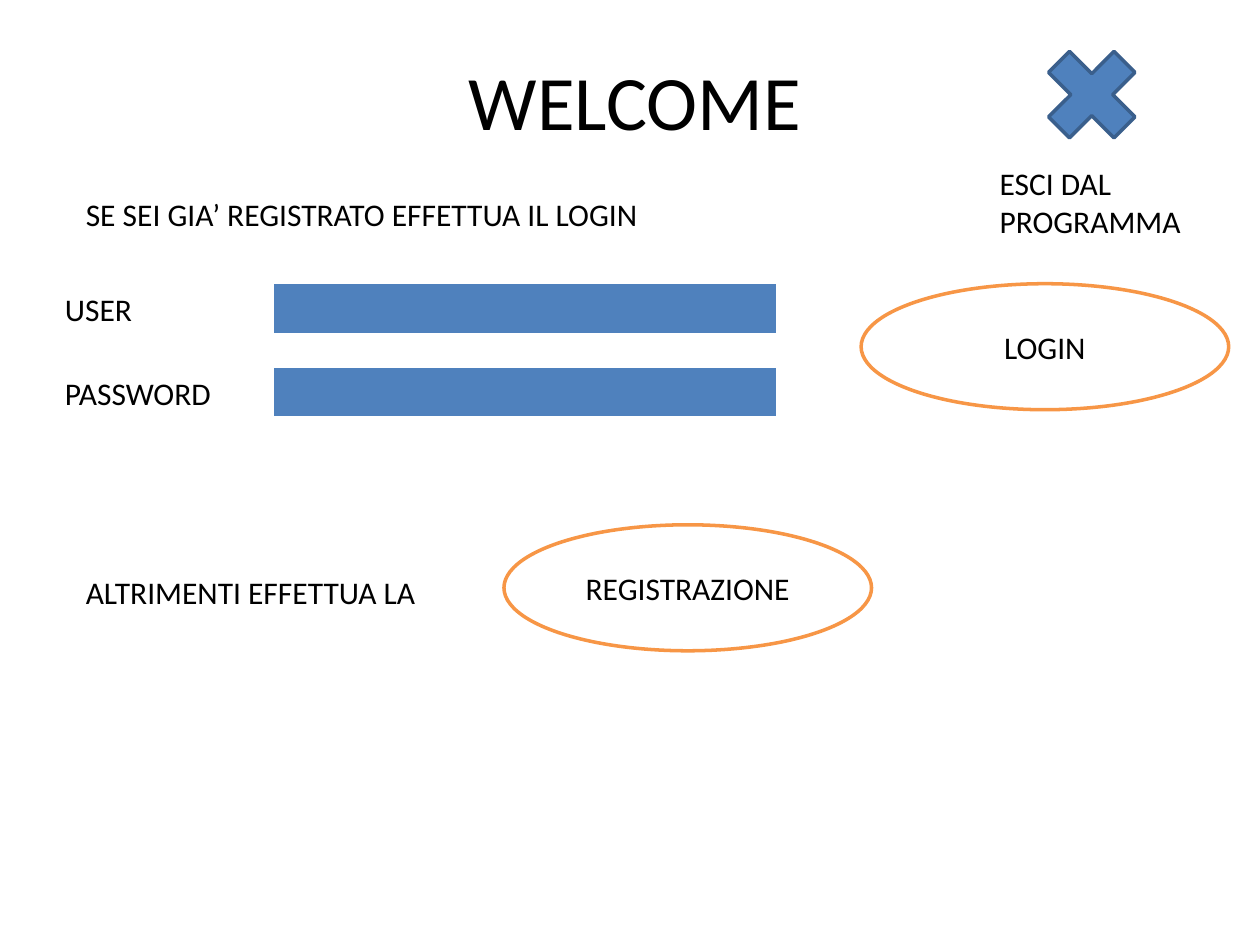
from lxml import etree
from pptx import Presentation
from pptx.dml.color import RGBColor
from pptx.enum.shapes import MSO_SHAPE
from pptx.enum.text import MSO_ANCHOR, MSO_AUTO_SIZE, PP_ALIGN
from pptx.oxml.ns import qn
from pptx.util import Cm, Pt

ELLIPSE, CROSS = MSO_SHAPE.OVAL, MSO_SHAPE.MATH_MULTIPLY
MIDDLE, CENTER, LEFT = MSO_ANCHOR.MIDDLE, PP_ALIGN.CENTER, PP_ALIGN.LEFT
GROW = MSO_AUTO_SIZE.SHAPE_TO_FIT_TEXT
COLORS = {"text": "000000", "white": "FFFFFF", "blue": "4F81BD",
          "dark_blue": "3A5F8C", "orange": "F79646"}
RGB = {name: RGBColor.from_string(value) for name, value in COLORS.items()}


def write(tf, lines, size=18, align=LEFT):
    """Write each line as one paragraph with one run."""
    for i, line in enumerate(lines):
        p = tf.paragraphs[0] if i == 0 else tf.add_paragraph()
        p.alignment = align
        r = p.add_run()
        r.text = line
        r.font.size = Pt(size)
        r.font.name = "Calibri"
        r.font.color.rgb = RGB["text"]


def add_figure(kind, box, fill, line):
    """Add a filled and outlined preset shape."""
    sp = s.shapes.add_shape(kind, *map(Cm, box))
    sp.shadow.inherit = False
    sp.fill.solid()
    sp.fill.fore_color.rgb = RGB[fill]
    sp.line.color.rgb = RGB[line]
    sp.line.width = Pt(2)
    return sp


prs = Presentation()
prs.slide_width, prs.slide_height = Cm(25.4), Cm(19.05)
s = prs.slides.add_slide(prs.slide_layouts[5])

title = s.shapes.title
title.left, title.top, title.width, title.height = map(Cm, (1.9, 0.85, 21.8, 2.33))
title.text_frame.vertical_anchor = MIDDLE
write(title.text_frame, ["WELCOME"], 44, CENTER)

# Input fields
FIELD_TOPS = {"USER": 5.72, "PASSWORD": 7.41}
BORDERS = {"a:lnL": 1, "a:lnR": 1, "a:lnT": 1, "a:lnB": 3}
for top in FIELD_TOPS.values():
    table = s.shapes.add_table(1, 1, Cm(5.5), Cm(top), Cm(10.16), Cm(1.02)).table
    cell = table.cell(0, 0)
    cell.fill.solid()
    cell.fill.fore_color.rgb = RGB["blue"]
    tcPr = cell._tc.get_or_add_tcPr()
    for i, (tag, width) in enumerate(BORDERS.items()):
        ln = etree.Element(qn(tag), w=str(Pt(width)))
        fill = etree.SubElement(ln, qn("a:solidFill"))
        etree.SubElement(fill, qn("a:srgbClr"), val=COLORS["white"])
        tcPr.insert(i, ln)

# Labels: lines, box, wrap
labels = [([name], (1.06, top, 3.81, 1.02), True) for name, top in FIELD_TOPS.items()]
labels += [
    (["ALTRIMENTI EFFETTUA LA "], (1.48, 11.43, 7.37, 1.02), False),
    (["SE SEI GIA’ REGISTRATO EFFETTUA IL LOGIN"], (1.48, 3.81, 11.73, 1.02), False),
    (["ESCI DAL ", "PROGRAMMA"], (19.9, 3.18, 5.03, 1.8), True),
]
for lines, box, wrap in labels:
    tf = s.shapes.add_textbox(*map(Cm, box)).text_frame
    tf.word_wrap = wrap
    tf.auto_size = GROW
    write(tf, lines)

# Buttons
for caption, left, top in (("REGISTRAZIONE", 10.16, 10.58), ("LOGIN", 17.36, 5.72)):
    button = add_figure(ELLIPSE, (left, top, 7.41, 2.54), "white", "orange")
    button.text_frame.vertical_anchor = MIDDLE
    write(button.text_frame, [caption], align=CENTER)
add_figure(CROSS, (20.74, 0.64, 2.54, 2.54), "blue", "dark_blue")

prs.save("out.pptx")
